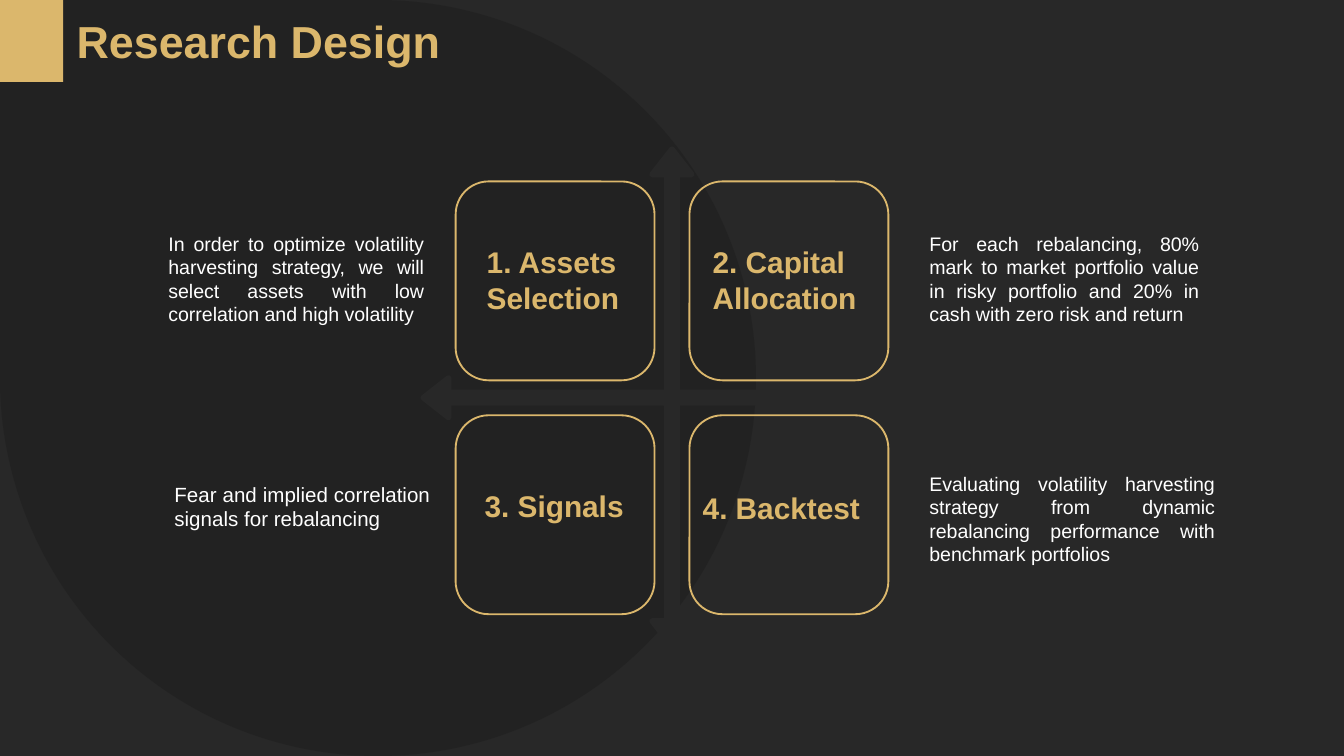
from pptx import Presentation
from pptx.dml.color import RGBColor
from pptx.enum.shapes import MSO_SHAPE as SHAPE
from pptx.enum.text import MSO_ANCHOR as ANCHOR, MSO_AUTO_SIZE as AUTO, PP_ALIGN as ALIGN
from pptx.oxml.ns import qn
from pptx.util import Inches, Pt
from lxml.etree import SubElement

W, H = 10, 5.625
TILE, PITCH = 1.48, 1.74
GOLD, DARK, SHADE, WHITE = "DBB76C", "282828", "1E1E1E", "FFFFFF"
HEADING = {"name": "Arial", "size": Pt(16), "bold": True}
TITLE = {**HEADING, "size": Pt(24)}
NOTE = {"name": "Arial", "size": Pt(10.5), "bold": False}
QUADRANTS = [
    ("1. Assets Selection", (0.09, 0.28, 0.83, 0.43),
     "In order to optimize volatility harvesting strategy, we will select "
     "assets with low correlation and high volatility", (-1.51, 0.22, 1.42, 0.55), 10.5),
    ("2. Capital Allocation", (0.05, 0.28, 0.91, 0.43),
     "For each rebalancing, 80% mark to market portfolio value in risky "
     "portfolio and 20% in cash with zero risk and return", (1.14, 0.22, 1.49, 0.55), 10.5),
    ("3. Signals", (0.08, 0.33, 0.88, 0.25),
     "Fear and implied correlation signals for rebalancing", (-1.48, 0.3, 1.42, 0.32), 11),
    ("4. Backtest", (0, 0.34, 1.05, 0.25),
     "Evaluating volatility harvesting strategy from dynamic rebalancing "
     "performance with benchmark portfolios", (1.14, 0.25, 1.57, 0.55), 10.5),
]


def color(target, value):
    """Give a fill a solid colour from a hex string."""
    target.solid()
    target.fore_color.rgb = RGBColor.from_string(value)


def within(box, shares):
    """Return the part of a box described by shares of its size."""
    x, y, w, h = box
    dx, dy, sw, sh = shares
    return x + dx * w, y + dy * h, sw * w, sh * h


def add_shape(s, kind, box, fill=None, line=None, weight=1, adjust=()):
    """Add a preset shape with an optional fill and outline."""
    sp = s.shapes.add_shape(kind, *map(Inches, box))
    sp.shadow.inherit = False
    for i, value in enumerate(adjust):
        sp.adjustments[i] = value
    if fill:
        color(sp.fill, fill)
    else:
        sp.fill.background()
    if line:
        color(sp.line.fill, line)
        sp.line.width = Pt(weight)
    else:
        sp.line.fill.background()
    return sp


def write(sp, text, style, ink, align=ALIGN.LEFT):
    """Write one formatted paragraph into a shape."""
    tf = sp.text_frame
    frame = {"word_wrap": True, "auto_size": AUTO.SHAPE_TO_FIT_TEXT,
             "vertical_anchor": ANCHOR.TOP}
    for key, value in frame.items():
        setattr(tf, key, value)
    p = tf.paragraphs[0]
    p.alignment = align
    r = p.add_run()
    r.text = text
    for key, value in style.items():
        setattr(r.font, key, value)
    color(r.font.fill, ink)


def add_text(s, box, *args):
    """Add a text box holding one paragraph."""
    write(s.shapes.add_textbox(*map(Inches, box)), *args)


def add_backdrop(s, box):
    """Add the translucent disc with a square top left corner."""
    sp = add_shape(s, SHAPE.TEAR, box, SHADE, adjust=(1,))
    sp.rotation = 270
    rgb = sp.element.find(".//" + qn("a:srgbClr"))
    SubElement(rgb, qn("a:alpha")).set("val", "60000")


def add_header(s, box):
    """Add the gold corner block and the slide title."""
    x, y, w, h = box
    add_shape(s, SHAPE.RECTANGLE, (x, y, 0.47, h), GOLD)
    sp = s.shapes.title
    place = (x + 0.47, y + 0.05, w - 0.47, 0.5)
    for key, value in zip(("left", "top", "width", "height"), place):
        setattr(sp, key, Inches(value))
    write(sp, "Research Design", TITLE, GOLD)
    sp.element.getparent().append(sp.element)


def add_quadrant(s, box, label, label_box, note, note_box, size):
    """Add an outlined tile with its label and the note beside it."""
    add_shape(s, SHAPE.ROUNDED_RECTANGLE, box, line=GOLD, adjust=(0.166,))
    add_text(s, within(box, label_box), label, HEADING, GOLD)
    add_text(s, within(box, note_box), note, {**NOTE, "size": Pt(size)}, WHITE, ALIGN.JUSTIFY)


def add_matrix(s, box):
    """Add the four-way arrow and the two by two grid of quadrants."""
    x, y, w, h = box
    add_shape(s, SHAPE.QUAD_ARROW, box, DARK, DARK, 3, (0.021, 0.04, 0.051))
    margin = (w - PITCH - TILE) / 2
    for i, quadrant in enumerate(QUADRANTS):
        row, col = divmod(i, 2)
        tile = (x + margin + col * PITCH, y + margin + row * PITCH, TILE, TILE)
        add_quadrant(s, tile, *quadrant)


def main():
    """Build and save the slide."""
    prs = Presentation()
    prs.slide_width, prs.slide_height = Inches(W), Inches(H)
    s = prs.slides.add_slide(prs.slide_layouts[5])
    color(s.background.fill, DARK)
    add_backdrop(s, (0, 0, H, H))
    add_matrix(s, (3.15, 1.11, 3.7, 3.7))
    add_header(s, (0, 0, 7.63, 0.61))
    prs.save("out.pptx")


if __name__ == "__main__":
    main()
